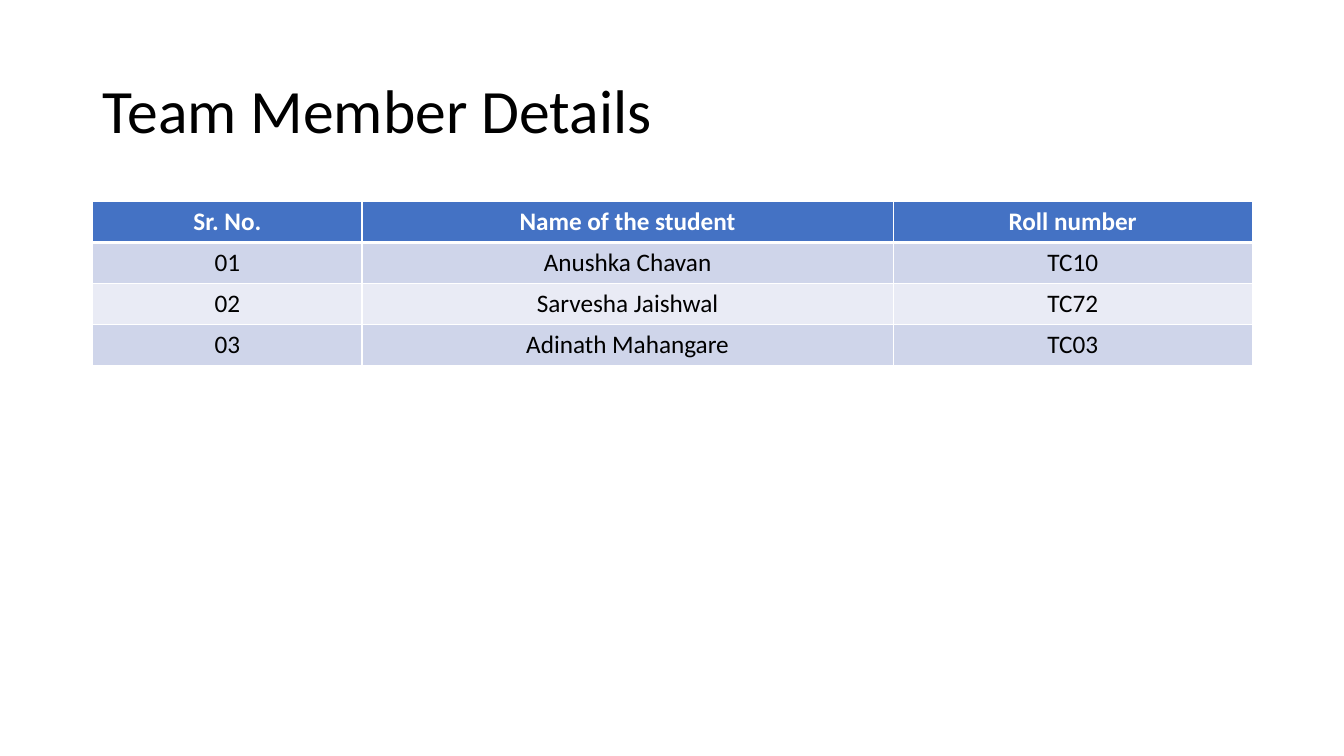
"""Build the team member details slide with its table of students."""
from lxml.etree import SubElement
from pptx import Presentation
from pptx.dml.color import RGBColor
from pptx.enum.text import MSO_ANCHOR, PP_ALIGN
from pptx.oxml.ns import qn
from pptx.util import Inches, Pt

TITLE = "Team Member Details"
ROWS = [
    ("Sr. No.", "Name of the student", "Roll number"),
    ("01", "Anushka Chavan", "TC10"),
    ("02", "Sarvesha Jaishwal", "TC72"),
    ("03", "Adinath Mahangare", "TC03"),
]
COL_WIDTHS = (2.67, 5.27, 3.56)
ROW_HEIGHT = 0.405
LEFT, WIDTH = 0.92, 11.5
FONT = "Calibri"
COLORS = {"header": "4472C4", "odd": "CFD5EA", "even": "E9EBF5",
          "text": "000000", "white": "FFFFFF"}


def rgb(name):
    return RGBColor.from_string(COLORS[name])


def style_font(font, size, color, bold=False):
    font.name, font.size, font.bold = FONT, Pt(size), bold
    font.color.rgb = rgb(color)


def add_border(cell, side, width):
    ln = SubElement(cell._tc.get_or_add_tcPr(), qn(f"a:ln{side}"), w=str(Pt(width)))
    fill = SubElement(ln, qn("a:solidFill"))
    SubElement(fill, qn("a:srgbClr"), val=COLORS["white"])


def add_title(slide):
    sp = slide.shapes.title
    sp.left, sp.top = Inches(LEFT), Inches(0.4)
    sp.width, sp.height = Inches(WIDTH), Inches(1.45)
    tf = sp.text_frame
    tf.text = TITLE
    tf.vertical_anchor = MSO_ANCHOR.MIDDLE
    p = tf.paragraphs[0]
    p.alignment, p.line_spacing = PP_ALIGN.LEFT, 0.9
    style_font(p.font, 44, "text")


def add_members(slide):
    table = slide.shapes.add_table(
        len(ROWS), len(COL_WIDTHS), Inches(LEFT), Inches(2),
        Inches(WIDTH), Inches(ROW_HEIGHT * len(ROWS))).table
    for col, width in zip(table.columns, COL_WIDTHS):
        col.width = Inches(width)
    for i, row in enumerate(ROWS):
        band = "header" if i == 0 else "odd" if i % 2 else "even"
        widths = {"L": 1, "R": 1, "T": 3 if i == 1 else 1, "B": 3 if i == 0 else 1}
        for j, text in enumerate(row):
            cell = table.cell(i, j)
            cell.text = text
            for side, width in widths.items():
                add_border(cell, side, width)
            cell.fill.solid()
            cell.fill.fore_color.rgb = rgb(band)
            p = cell.text_frame.paragraphs[0]
            p.alignment = PP_ALIGN.CENTER
            style_font(p.font, 18, "text" if i else "white", bold=i == 0)


def main():
    prs = Presentation()
    prs.slide_width, prs.slide_height = Inches(13.33), Inches(7.5)
    slide = prs.slides.add_slide(prs.slide_layouts[5])
    add_title(slide)
    add_members(slide)
    prs.save("out.pptx")


if __name__ == "__main__":
    main()
